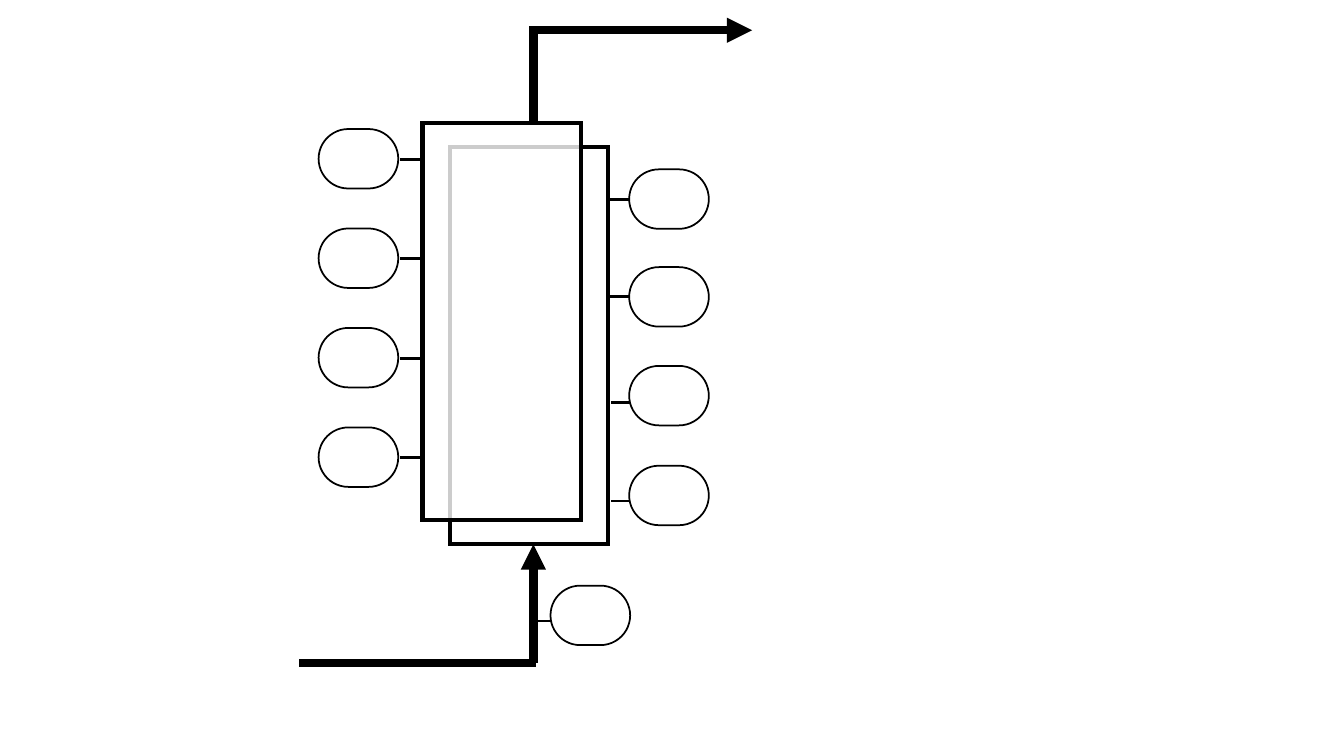
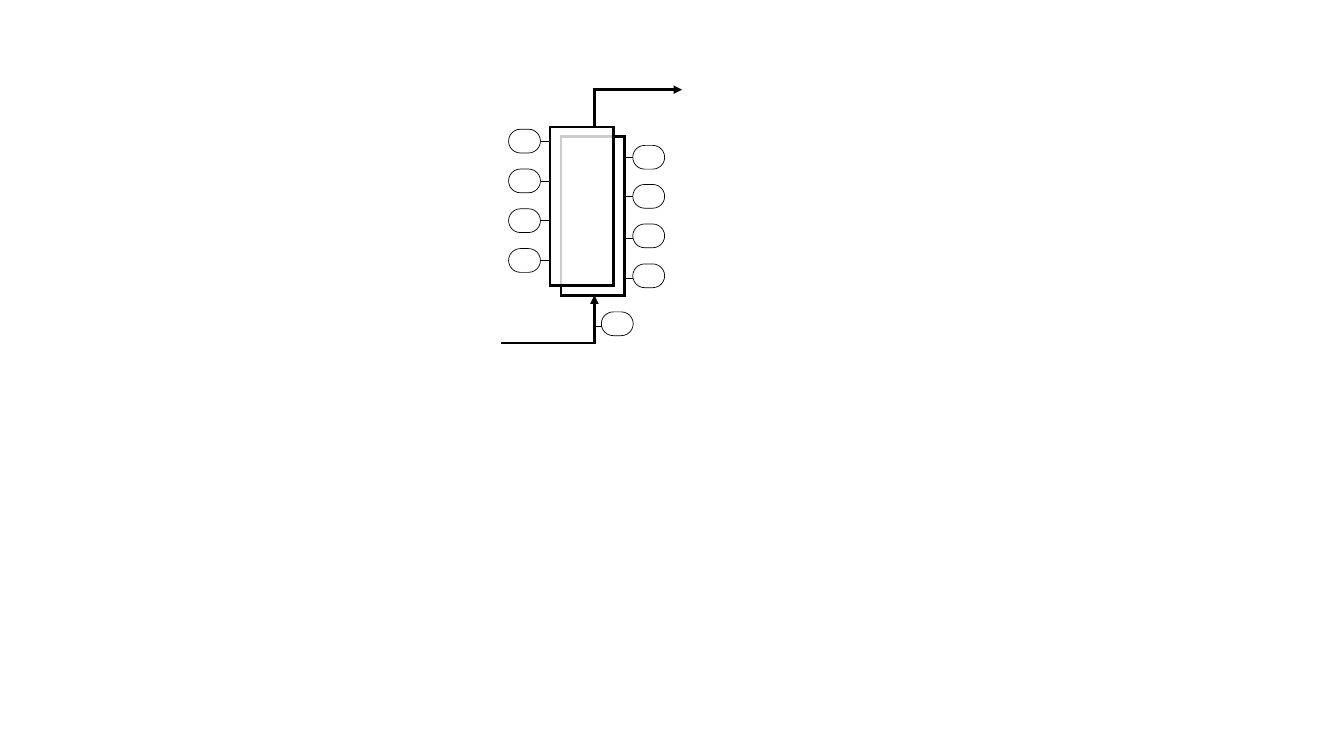
import pptx
import pptx.util
import pptx.dml.color
import pptx.enum.shapes
import pptx.oxml.ns
from lxml import etree

Inches, Pt = pptx.util.Inches, pptx.util.Pt
qn = pptx.oxml.ns.qn
SHAPE = pptx.enum.shapes.MSO_SHAPE
STRAIGHT = pptx.enum.shapes.MSO_CONNECTOR.STRAIGHT

BLACK = pptx.dml.color.RGBColor(0x00, 0x00, 0x00)
WHITE = pptx.dml.color.RGBColor(0xFF, 0xFF, 0xFF)

PANEL_W, PANEL_H = 1.57, 3.94
PILL_W, PILL_H = 0.79, 0.59
LEFT_TOP, LEFT_BOTTOM, LEFT_COUNT = 1.28, 4.24, 4
# Top of each right-hand pill, then height, right end and left end of its stub
RIGHT_PILLS = [
    (1.68, 1.98, 6.24, 6.01),
    (2.65, 2.94, 6.24, 6.05),
    (3.63, 3.99, 6.25, 6.06),
    (4.62, 4.97, 6.25, 6.06),
]


class Diagram:
    """Draws on one slide, with lengths scaled and shifted."""

    def __init__(self, prs, scale=1, dx=0, dy=0, grouped=False,
                 panel_pt=3, pill_pt=1.25, stub_pt=2, flow_pt=6):
        s = prs.slides.add_slide(prs.slide_layouts[6])
        self.shapes = s.shapes.add_group_shape().shapes if grouped else s.shapes
        self.scale, self.dx, self.dy = scale, dx, dy
        self.panel_pt, self.pill_pt = panel_pt, pill_pt
        self.stub_pt, self.flow_pt = stub_pt, flow_pt

    def x(self, value):
        return Inches(self.dx + self.scale * value)

    def y(self, value):
        return Inches(self.dy + self.scale * value)

    def outlined(self, kind, x, y, w, h, width):
        sp = self.shapes.add_shape(kind, self.x(x), self.y(y),
                                   Inches(self.scale * w), Inches(self.scale * h))
        sp.shadow.inherit = False
        sp.line.color.rgb = BLACK
        sp.line.width = Pt(width)
        return sp

    def panel(self, x, y):
        """Add a slightly see-through white rectangle with sharp corners."""
        sp = self.outlined(SHAPE.RECTANGLE, x, y, PANEL_W, PANEL_H, self.panel_pt)
        sp.fill.solid()
        sp.fill.fore_color.rgb = WHITE
        color = sp._element.spPr.find(qn("a:solidFill"))[0]
        etree.SubElement(color, qn("a:alpha"), val="80000")
        ln = sp._element.spPr.find(qn("a:ln"))
        etree.SubElement(ln, qn("a:miter"), lim="800000")

    def pill(self, x, y):
        sp = self.outlined(SHAPE.ROUNDED_RECTANGLE, x, y, PILL_W, PILL_H, self.pill_pt)
        sp.adjustments[0] = 0.5
        sp.fill.background()

    def line(self, x1, y1, x2, y2, width, arrow=False):
        cxn = self.shapes.add_connector(STRAIGHT, self.x(x1), self.y(y1),
                                        self.x(x2), self.y(y2))
        cxn.line.color.rgb = BLACK
        cxn.line.width = Pt(width)
        spPr = cxn._element.spPr
        if arrow:
            etree.SubElement(spPr.find(qn("a:ln")), qn("a:tailEnd"), type="triangle")
        etree.SubElement(spPr, qn("a:effectLst"))

    def flow(self, *ends, arrow=False):
        self.line(*ends, self.flow_pt, arrow)

    def stub(self, x1, x2, y):
        self.line(x1, y, x2, y, self.stub_pt)

    def draw(self):
        self.panel(4.46, 1.46)
        self.panel(4.19, 1.22)

        self.flow(5.29, 6.58, 5.29, 5.4, arrow=True)
        self.flow(2.97, 6.58, 5.32, 6.58)
        self.flow(5.29, 1.22, 5.29, 0.28)
        self.flow(5.25, 0.3, 7.46, 0.3, arrow=True)

        for top, stub_y, x1, x2 in RIGHT_PILLS:
            self.pill(6.24, top)
            self.stub(x1, x2, stub_y)
        step = (LEFT_BOTTOM - LEFT_TOP) / (LEFT_COUNT - 1)
        for i in range(LEFT_COUNT):
            top = LEFT_TOP + i * step
            self.pill(3.16, top)
            self.stub(4.17, 3.97, top + 0.3)
        self.pill(5.46, 5.81)
        self.stub(5.47, 5.27, 6.16)


def main():
    prs = pptx.Presentation()
    prs.slide_width, prs.slide_height = Inches(13.33), Inches(7.5)
    Diagram(prs).draw()
    Diagram(prs, scale=0.4, dx=3.78, dy=0.77, grouped=True,
            panel_pt=1.75, pill_pt=0.5, stub_pt=0.5, flow_pt=2).draw()
    prs.save("out.pptx")


if __name__ == "__main__":
    main()
